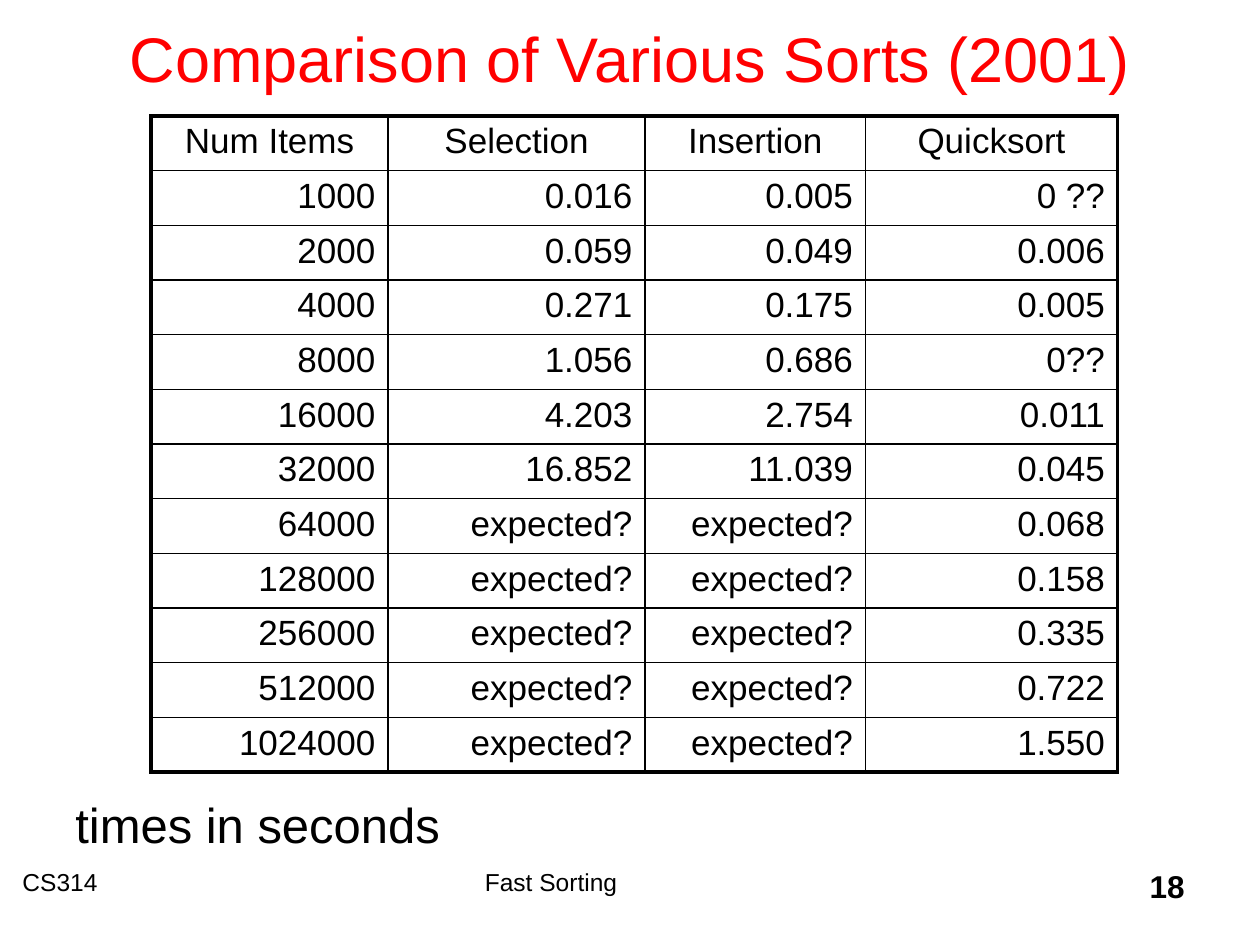
import pptx
import pptx.dml.color
import pptx.enum.text
import pptx.oxml.ns
import pptx.util
from lxml import etree

Inches = pptx.util.Inches
Pt = pptx.util.Pt
ALIGN = pptx.enum.text.PP_ALIGN
ANCHOR = pptx.enum.text.MSO_ANCHOR
AUTO = pptx.enum.text.MSO_AUTO_SIZE

THEME = {
    "font": "Arial", "ink": "000000", "title_ink": "FF0000",
    "title": 36, "cell": 20, "note": 28, "footer": 14, "number": 18,
    "outer_line": 2.25, "inner_line": 1,
}

TITLE = "Comparison of Various Sorts (2001)"
HEADER = ("Num Items", "Selection", "Insertion", "Quicksort")
SELECTION = ("0.016", "0.059", "0.271", "1.056", "4.203", "16.852")
INSERTION = ("0.005", "0.049", "0.175", "0.686", "2.754", "11.039")
QUICKSORT = ("0 ??", "0.006", "0.005", "0??", "0.011", "0.045",
             "0.068", "0.158", "0.335", "0.722", "1.550")
UNKNOWN = ("expected?",) * (len(QUICKSORT) - len(SELECTION))
ITEMS = [str(1000 * 2 ** i) for i in range(len(QUICKSORT))]
ROWS = [HEADER, *zip(ITEMS, SELECTION + UNKNOWN, INSERTION + UNKNOWN, QUICKSORT)]
COLUMN_WIDTHS = (1.88, 2.04, 1.75, 2)
TABLE_LEFT, TABLE_TOP, TABLE_HEIGHT = 1.2, 0.92, 5.21

FOOTERS = [
    ("CS314", 0.08, 2.92, ALIGN.LEFT, "footer", False),
    ("Fast Sorting", 3.75, 3.33, ALIGN.LEFT, "footer", False),
    ("18", 7.42, 2.08, ALIGN.RIGHT, "number", True),
]
FOOTER_TOP, FOOTER_HEIGHT = 6.83, 0.5


def write(tf, text, size, align, ink="ink", bold=False):
    p = tf.paragraphs[0]
    p.alignment = align
    r = p.add_run()
    r.text = text
    r.font.name = THEME["font"]
    r.font.size = Pt(THEME[size])
    r.font.bold = bold
    r.font.color.rgb = pptx.dml.color.RGBColor.from_string(THEME[ink])
    return p


def add_text(s, box, text, size, align, bold=False, wrap=True):
    sp = s.shapes.add_textbox(*map(Inches, box))
    sp.text_frame.word_wrap = wrap
    return sp, write(sp.text_frame, text, size, align, bold=bold)


def set_borders(cell, outer_sides):
    tcPr = cell._tc.get_or_add_tcPr()
    for i, side in enumerate("LRTB"):
        width = THEME["outer_line" if side in outer_sides else "inner_line"]
        ln = etree.Element(pptx.oxml.ns.qn("a:ln" + side), w=str(Pt(width)))
        fill = etree.SubElement(ln, pptx.oxml.ns.qn("a:solidFill"))
        etree.SubElement(fill, pptx.oxml.ns.qn("a:srgbClr"), val=THEME["ink"])
        tcPr.insert(i, ln)


def add_sort_table(s):
    last_row, last_col = len(ROWS) - 1, len(HEADER) - 1
    table = s.shapes.add_table(
        len(ROWS), len(HEADER), Inches(TABLE_LEFT), Inches(TABLE_TOP),
        Inches(sum(COLUMN_WIDTHS)), Inches(TABLE_HEIGHT)).table
    table.first_row = table.horz_banding = False
    for column, width in zip(table.columns, COLUMN_WIDTHS):
        column.width = Inches(width)
    for i, row in enumerate(ROWS):
        for j, text in enumerate(row):
            cell = table.cell(i, j)
            cell.fill.background()
            write(cell.text_frame, text, "cell", ALIGN.RIGHT if i else ALIGN.CENTER)
            edges = {"L": j == 0, "R": j == last_col, "T": i == 0, "B": i == last_row}
            set_borders(cell, [side for side, outer in edges.items() if outer])


def main():
    prs = pptx.Presentation()
    prs.slide_width, prs.slide_height = Inches(10), Inches(7.5)
    s = prs.slides.add_slide(prs.slide_layouts[5])

    title = s.shapes.title
    title.left, title.top = Inches(0.75), Inches(-0.17)
    title.width, title.height = Inches(8.5), Inches(1.25)
    title.text_frame.auto_size = AUTO.NONE
    title.text_frame.vertical_anchor = ANCHOR.MIDDLE
    write(title.text_frame, TITLE, "title", ALIGN.CENTER, "title_ink")

    for text, left, width, align, size, bold in FOOTERS:
        add_text(s, (left, FOOTER_TOP, width, FOOTER_HEIGHT), text, size, align, bold)

    add_sort_table(s)

    note, p = add_text(s, (0.5, 6.26, 3.13, 0.57), "times in seconds", "note",
                       ALIGN.LEFT, wrap=False)
    note.text_frame.auto_size = AUTO.SHAPE_TO_FIT_TEXT
    p.space_before = Pt(0.2 * THEME["note"])

    prs.save("out.pptx")


if __name__ == "__main__":
    main()
